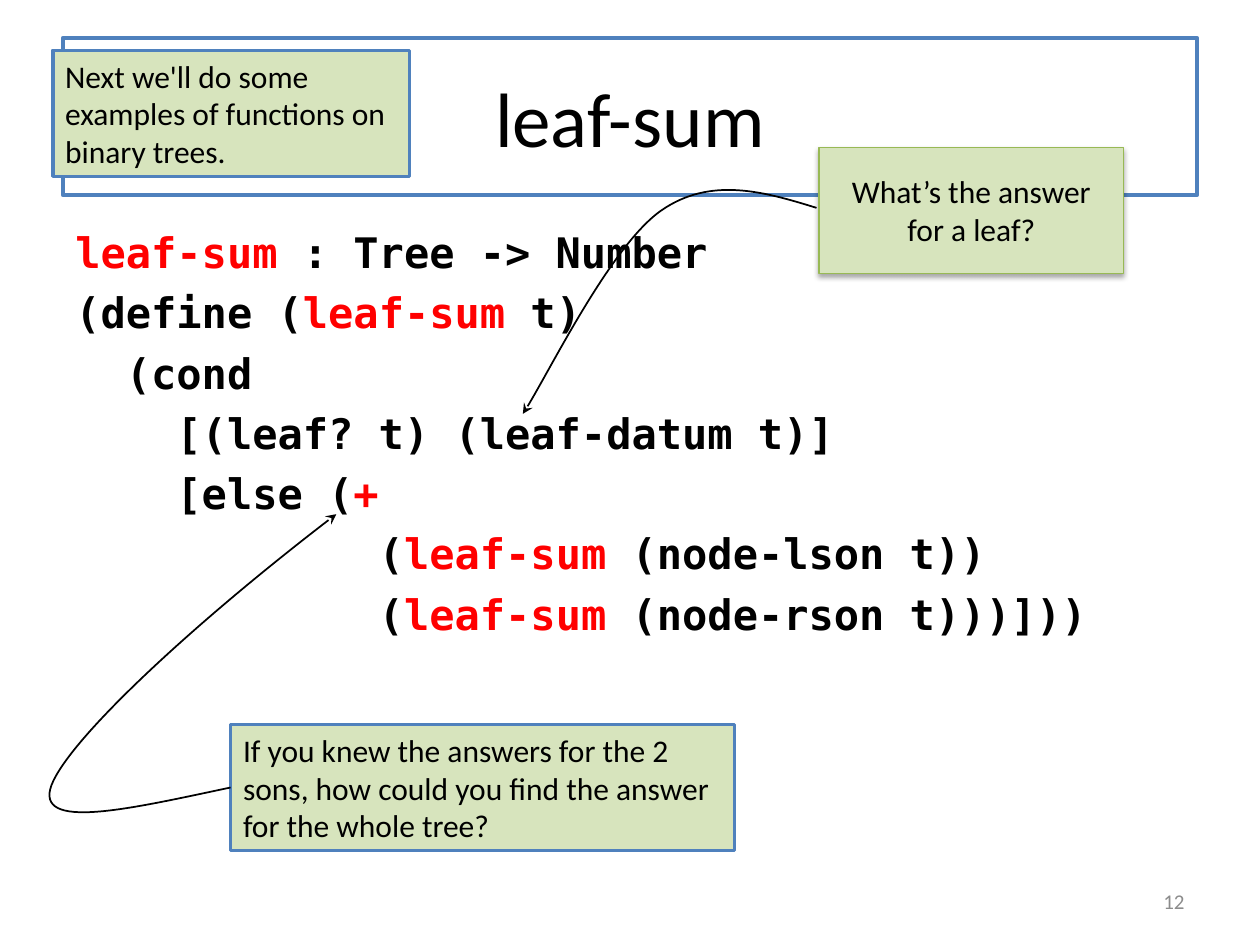
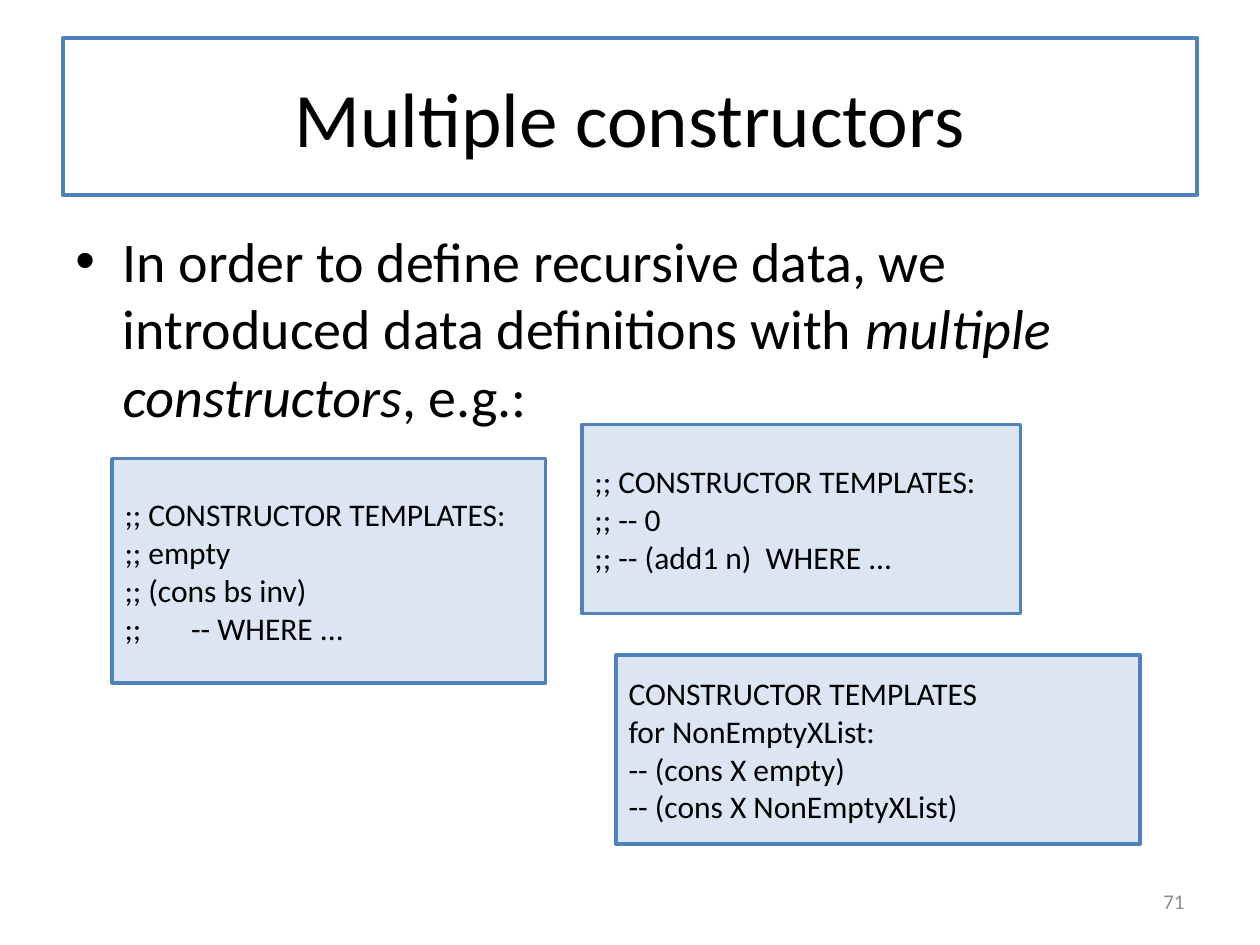
from typing import NamedTuple, Optional

from lxml.etree import SubElement
from pptx import Presentation
from pptx.dml.color import RGBColor
from pptx.enum.shapes import MSO_SHAPE
from pptx.enum.text import MSO_ANCHOR, PP_ALIGN
from pptx.oxml.ns import qn
from pptx.shapes.base import BaseShape
from pptx.slide import Slide
from pptx.text.text import TextFrame
from pptx.util import Pt

# Shared colours and fonts
BLACK = RGBColor(0x00, 0x00, 0x00)
WHITE = RGBColor(0xFF, 0xFF, 0xFF)
RED = RGBColor(0xFF, 0x00, 0x00)
GREY = RGBColor(0x8C, 0x8C, 0x8C)
BLUE = RGBColor(0x4F, 0x81, 0xBD)
OLIVE = RGBColor(0x98, 0xB9, 0x55)
PALE_GREEN = RGBColor(0xD7, 0xE4, 0xBD)
PALE_BLUE = RGBColor(0xDC, 0xE6, 0xF2)
SANS = "Calibri"
MONO = "DejaVu Sans Mono"


class Area(NamedTuple):
    """Left, top, width and height in points."""
    left: float
    top: float
    width: float
    height: float


class Span(NamedTuple):
    text: str
    color: RGBColor = BLACK
    italic: bool = False


class Panel(NamedTuple):
    area: Area
    lines: tuple[str, ...]
    fill: RGBColor
    border: RGBColor = BLUE
    border_width: float = 2
    size: float = 18
    align: PP_ALIGN = PP_ALIGN.LEFT
    shadow: bool = False


class Curve(NamedTuple):
    """Start point, followed by three Bezier points per segment."""
    points: tuple[tuple[float, float], ...]


TITLE_AREA = Area(36, 21.6, 648, 90)
BODY_AREA = Area(36, 126, 648, 356.4)
NUMBER_AREA = Area(516, 500.4, 168, 28.8)
BULLET_INDENT = 27

# Content of the leaf-sum slide
NAME = Span("leaf-sum", RED)
LEAF_SUM_CODE = (
    (NAME, Span(" : Tree -> Number")),
    (Span("(define ("), NAME, Span(" t)")),
    (Span("  (cond"),),
    (Span("    [(leaf? t) (leaf-datum t)]"),),
    (Span("    [else ("), Span("+", RED)),
    (Span("            ("), NAME, Span(" (node-lson t))")),
    (Span("            ("), NAME, Span(" (node-rson t)))]))")),
)
LEAF_ARROW = Curve((
    (466.6, 118.8), (436.3, 109.4), (406.1, 100.8), (378, 120.2),
    (349.9, 139.7), (311, 218.2), (298.8, 236.5),
))
SONS_ARROW = Curve((
    (131.8, 450), (74.2, 462.2), (19.4, 475.2), (29.5, 448.6),
    (39.6, 422.6), (110.2, 356.4), (192.2, 293.8),
))
LEAF_QUESTION = Panel(Area(468, 84.2, 174.2, 72), ("What’s the answer for a leaf?",),
                      PALE_GREEN, OLIVE, 0.75, align=PP_ALIGN.CENTER, shadow=True)
SONS_QUESTION = Panel(
    Area(131.8, 414, 288, 72),
    ("If you knew the answers for the 2 sons, how could you find the answer "
     "for the whole tree?",), PALE_GREEN)
NEXT_NOTE = Panel(Area(30.2, 28.8, 203.8, 72),
                  ("Next we'll do some examples of functions on binary trees.",),
                  PALE_GREEN)

# Content of the constructors slide
INTRODUCTION = (
    Span("In order to define recursive data, we introduced data definitions with "),
    Span("multiple constructors", italic=True),
    Span(", e.g.:"),
)
TEMPLATES = (
    Panel(Area(64.1, 262.1, 247.7, 128.2),
          (";; CONSTRUCTOR TEMPLATES:", ";; empty", ";; (cons bs inv)",
           ";;       -- WHERE ..."), PALE_BLUE),
    Panel(Area(332.6, 242.6, 250.6, 108),
          (";; CONSTRUCTOR TEMPLATES:", ";; -- 0", ";; -- (add1 n)  WHERE ..."),
          PALE_BLUE),
    Panel(Area(352.1, 374.4, 299.5, 108),
          ("CONSTRUCTOR TEMPLATES", "for NonEmptyXList:", "-- (cons X empty)",
           "-- (cons X NonEmptyXList)"), PALE_BLUE),
)


def in_points(area: Area) -> list[int]:
    return [Pt(length) for length in area]


def fill_text(frame: TextFrame, lines: tuple[str, ...], size: float,
              color: RGBColor, align: PP_ALIGN) -> None:
    frame.word_wrap = True
    frame.vertical_anchor = MSO_ANCHOR.MIDDLE
    frame.text = "\n".join(lines)
    for paragraph in frame.paragraphs:
        paragraph.alignment = align
        for run in paragraph.runs:
            run.font.name, run.font.size = SANS, Pt(size)
            run.font.color.rgb = color


def add_soft_shadow(shape: BaseShape) -> None:
    effects = shape._element.spPr.find(qn("a:effectLst"))
    shadow = SubElement(effects, qn("a:outerShdw"), blurRad=str(Pt(3.1)),
                        dist=str(Pt(1.8)), dir="5400000", rotWithShape="0")
    black = SubElement(shadow, qn("a:srgbClr"), val=str(BLACK))
    SubElement(black, qn("a:alpha"), val="35000")


def add_panel(slide: Slide, panel: Panel) -> None:
    box = slide.shapes.add_shape(MSO_SHAPE.RECTANGLE, *in_points(panel.area))
    box.shadow.inherit = False
    box.fill.solid()
    box.fill.fore_color.rgb = panel.fill
    box.line.color.rgb = panel.border
    box.line.width = Pt(panel.border_width)
    if panel.shadow:
        add_soft_shadow(box)
    fill_text(box.text_frame, panel.lines, panel.size, BLACK, panel.align)


def add_curve(slide: Slide, curve: Curve) -> None:
    start, *rest = [(Pt(x), Pt(y)) for x, y in curve.points]
    builder = slide.shapes.build_freeform(*start)
    builder.add_line_segments(rest, close=False)
    arrow = builder.convert_to_shape()
    arrow.shadow.inherit = False
    arrow.fill.background()
    arrow.line.color.rgb = BLACK
    arrow.line.width = Pt(1)
    properties = arrow._element.spPr
    SubElement(properties.find(qn("a:ln")), qn("a:tailEnd"), type="stealth")
    # Turn every three straight segments into one Bezier segment
    outline = properties.find(".//" + qn("a:path"))
    segments = outline.findall(qn("a:lnTo"))
    for first in range(0, len(segments), 3):
        bezier = SubElement(outline, qn("a:cubicBezTo"))
        for segment in segments[first:first + 3]:
            bezier.append(segment[0])
            outline.remove(segment)


def add_body(slide: Slide, lines: tuple[tuple[Span, ...], ...], font: str, size: float,
             bold: bool = False, space: float = 0, bullet: Optional[str] = None) -> None:
    frame = slide.shapes.add_textbox(*in_points(BODY_AREA)).text_frame
    frame.word_wrap = True
    for index, spans in enumerate(lines):
        paragraph = frame.add_paragraph() if index else frame.paragraphs[0]
        if index:
            paragraph.space_before = Pt(space)
        if bullet:
            properties = paragraph._p.get_or_add_pPr()
            properties.set("marL", str(Pt(BULLET_INDENT)))
            properties.set("indent", str(-Pt(BULLET_INDENT)))
            SubElement(properties, qn("a:buFont"), typeface="Arial")
            SubElement(properties, qn("a:buChar"), char=bullet)
        for span in spans:
            run = paragraph.add_run()
            run.text = span.text
            run.font.name, run.font.size = font, Pt(size)
            run.font.bold, run.font.italic = bold, span.italic
            run.font.color.rgb = span.color


def add_titled_slide(deck: Presentation, title: str) -> Slide:
    slide = deck.slides.add_slide(deck.slide_layouts[6])
    add_panel(slide, Panel(TITLE_AREA, (title,), WHITE, border_width=2.25,
                           size=44, align=PP_ALIGN.CENTER))
    return slide


def add_number(slide: Slide, number: int) -> None:
    box = slide.shapes.add_textbox(*in_points(NUMBER_AREA))
    fill_text(box.text_frame, (str(number),), 12, GREY, PP_ALIGN.RIGHT)


def add_leaf_sum(deck: Presentation) -> None:
    slide = add_titled_slide(deck, "leaf-sum")
    add_body(slide, LEAF_SUM_CODE, MONO, 24, bold=True, space=5.6)
    add_number(slide, 12)
    add_curve(slide, LEAF_ARROW)
    add_panel(slide, LEAF_QUESTION)
    add_panel(slide, SONS_QUESTION)
    add_curve(slide, SONS_ARROW)
    add_panel(slide, NEXT_NOTE)


def add_constructors(deck: Presentation) -> None:
    slide = add_titled_slide(deck, "Multiple constructors")
    add_body(slide, (INTRODUCTION,), SANS, 32, bullet="•")
    add_number(slide, 71)
    for template in TEMPLATES:
        add_panel(slide, template)


def main() -> None:
    deck = Presentation()
    deck.slide_width, deck.slide_height = Pt(720), Pt(540)
    add_leaf_sum(deck)
    add_constructors(deck)
    deck.save("out.pptx")


if __name__ == "__main__":
    main()
